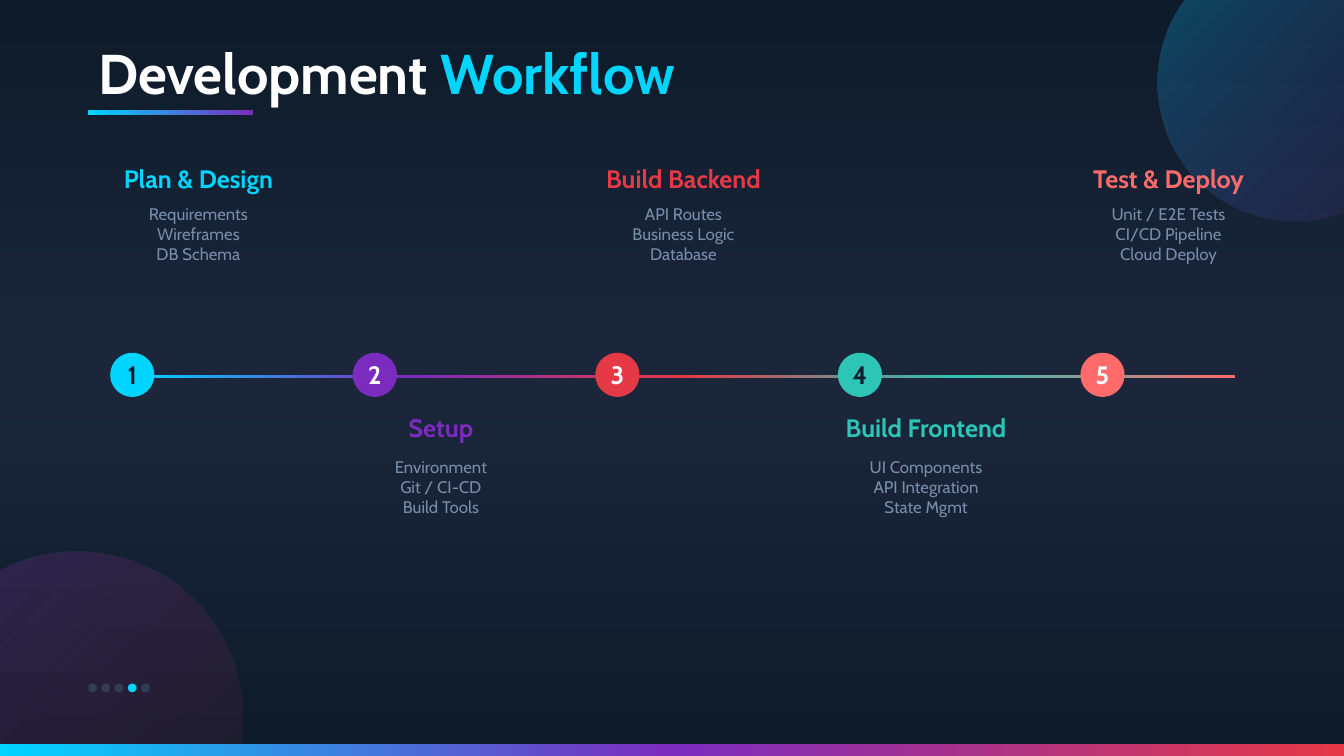
"""Build the development workflow timeline slide."""
import lxml.etree
import pptx
import pptx.dml.color
import pptx.enum.shapes
import pptx.enum.text
import pptx.oxml.ns
import pptx.util

Pt = pptx.util.Pt
RGBColor = pptx.dml.color.RGBColor
Shape = pptx.enum.shapes.MSO_SHAPE
Align = pptx.enum.text.PP_ALIGN
Anchor = pptx.enum.text.MSO_ANCHOR
qn = pptx.oxml.ns.qn

NAVY = RGBColor(0x0D, 0x1B, 0x2A)
MIDNIGHT = RGBColor(0x1B, 0x26, 0x3B)
SLATE = RGBColor(0x41, 0x5A, 0x77)
MIST = RGBColor(0x77, 0x8D, 0xA9)
WHITE = RGBColor(0xFF, 0xFF, 0xFF)
CYAN = RGBColor(0x00, 0xD4, 0xFF)
PURPLE = RGBColor(0x7B, 0x2C, 0xBF)
RED = RGBColor(0xE6, 0x39, 0x46)
TEAL = RGBColor(0x2E, 0xC4, 0xB6)
CORAL = RGBColor(0xFF, 0x6B, 0x6B)

WIDTH, HEIGHT = 960, 540
MARGIN = 63
STEP_PITCH = 173.25
MARKER_SIZE = 31.5
MARKER_TOP = 252
LABEL_WIDTH = 157.5
LABEL_HEIGHT = 31.5
DETAIL_HEIGHT = 94.5
LABEL_TOP_ABOVE = 110.25
LABEL_TOP_BELOW = 291.3
DOT_SIZE = 6.3
DOT_PITCH = 9.45
CURRENT_DOT = 3

STEPS = [
    ("Plan & Design", CYAN, NAVY, ["Requirements", "Wireframes", "DB Schema"]),
    ("Setup", PURPLE, WHITE, ["Environment", "Git / CI-CD", "Build Tools"]),
    ("Build Backend", RED, WHITE, ["API Routes", "Business Logic", "Database"]),
    ("Build Frontend", TEAL, NAVY, ["UI Components", "API Integration", "State Mgmt"]),
    ("Test & Deploy", CORAL, WHITE, ["Unit / E2E Tests", "CI/CD Pipeline", "Cloud Deploy"]),
]


class SlideBuilder:
    """Hold the text style and the current slide, and add elements to it."""

    def __init__(self, slide, font_name):
        self.slide = slide
        self.font_name = font_name

    def add_color(self, parent, color, opacity):
        element = lxml.etree.SubElement(parent, qn("a:srgbClr"), val=str(color))
        if opacity < 100:
            lxml.etree.SubElement(element, qn("a:alpha"), val=str(opacity * 1000))

    def apply_gradient(self, fill, owner, colors, angle, opacities=None):
        fill.gradient()
        fill.gradient_angle = (360 - angle) % 360
        stops = owner.find(".//" + qn("a:gsLst"))
        for stop in list(stops):
            stops.remove(stop)
        opacities = opacities or [100] * len(colors)
        for index, (color, opacity) in enumerate(zip(colors, opacities)):
            position = index * 100000 // (len(colors) - 1)
            stop = lxml.etree.SubElement(stops, qn("a:gs"), pos=str(position))
            self.add_color(stop, color, opacity)

    def background(self, colors, angle):
        self.apply_gradient(self.slide.background.fill, self.slide.element, colors, angle)

    def shape(self, kind, left, top, width, height):
        shape = self.slide.shapes.add_shape(kind, Pt(left), Pt(top), Pt(width), Pt(height))
        shape.shadow.inherit = False
        shape.line.fill.background()
        return shape

    def gradient_shape(self, kind, box, colors, angle=0, opacities=None):
        shape = self.shape(kind, *box)
        self.apply_gradient(shape.fill, shape.element, colors, angle, opacities)

    def circle(self, left, top, size, color, opacity=100):
        shape = self.shape(Shape.OVAL, left, top, size, size)
        shape.fill.solid()
        shape.fill.fore_color.rgb = color
        if opacity < 100:
            solid = shape.element.spPr.find(qn("a:solidFill"))
            solid.remove(solid[0])
            self.add_color(solid, color, opacity)
        return shape

    def format_run(self, run, size, color, bold):
        run.font.name = self.font_name
        run.font.size = Pt(size)
        run.font.bold = bold
        run.font.color.rgb = color

    def set_text(self, text_frame, text, size, color, bold, anchor):
        text_frame.text = text
        text_frame.word_wrap = True
        text_frame.vertical_anchor = anchor
        for paragraph in text_frame.paragraphs:
            paragraph.alignment = Align.CENTER
            for run in paragraph.runs:
                self.format_run(run, size, color, bold)

    def title(self, box, parts):
        title = self.slide.shapes.title
        title.left, title.top, title.width, title.height = map(Pt, box)
        text_frame = title.text_frame
        text_frame.auto_size = pptx.enum.text.MSO_AUTO_SIZE.NONE
        text_frame.vertical_anchor = Anchor.BOTTOM
        paragraph = text_frame.paragraphs[0]
        paragraph.alignment = Align.LEFT
        for text, color in parts:
            run = paragraph.add_run()
            run.text = text
            self.format_run(run, 40, color, True)

    def text(self, box, text, size, color, bold=False, anchor=Anchor.TOP):
        text_box = self.slide.shapes.add_textbox(*map(Pt, box))
        self.set_text(text_box.text_frame, text, size, color, bold, anchor)

    def marker(self, left, number, color, text_color):
        marker = self.circle(left, MARKER_TOP, MARKER_SIZE, color)
        text_frame = marker.text_frame
        text_frame.margin_left = text_frame.margin_right = 0
        text_frame.margin_top = text_frame.margin_bottom = 0
        self.set_text(text_frame, str(number), 18, text_color, True, Anchor.MIDDLE)

    def step(self, index, heading, color, number_color, details):
        left = MARGIN + index * STEP_PITCH
        above = index % 2 == 0
        top = LABEL_TOP_ABOVE if above else LABEL_TOP_BELOW
        anchor = Anchor.BOTTOM if above else Anchor.TOP
        self.marker(left + MARKER_SIZE / 2, index + 1, color, number_color)
        self.text((left, top, LABEL_WIDTH, LABEL_HEIGHT), heading, 18, color, True, anchor)
        detail_box = (left, top + LABEL_HEIGHT, LABEL_WIDTH, DETAIL_HEIGHT)
        self.text(detail_box, "\n".join(details), 12, MIST)


def main():
    presentation = pptx.Presentation()
    presentation.slide_width = Pt(WIDTH)
    presentation.slide_height = Pt(HEIGHT)
    slide = presentation.slides.add_slide(presentation.slide_layouts[5])
    builder = SlideBuilder(slide, "Cabin")

    builder.background([NAVY, MIDNIGHT, NAVY], 90)
    builder.gradient_shape(Shape.OVAL, (826.5, -39.4, 196.9, 196.9), [CYAN, PURPLE], 45, [30, 10])
    builder.gradient_shape(Shape.OVAL, (-63, 393.75, 236.25, 236.25), [PURPLE, RED], 45, [25, 5])
    builder.gradient_shape(Shape.RECTANGLE, (0, 531.5, WIDTH, 8.5), [CYAN, PURPLE, RED])

    builder.title((MARGIN, 23.6, 834, 55.2), [("Development ", WHITE), ("Workflow", CYAN)])
    builder.gradient_shape(Shape.RECTANGLE, (MARGIN, 78.75, 118.1, 3.15), [CYAN, PURPLE])

    step_colors = [color for _, color, _, _ in STEPS]
    builder.gradient_shape(Shape.RECTANGLE, (94.5, 267.75, 787.5, 2.4), step_colors)
    for index, step in enumerate(STEPS):
        builder.step(index, *step)

    for index in range(len(STEPS)):
        color, opacity = (CYAN, 100) if index == CURRENT_DOT else (SLATE, 50)
        builder.circle(MARGIN + index * DOT_PITCH, 488.25, DOT_SIZE, color, opacity)

    presentation.save("out.pptx")


if __name__ == "__main__":
    main()
